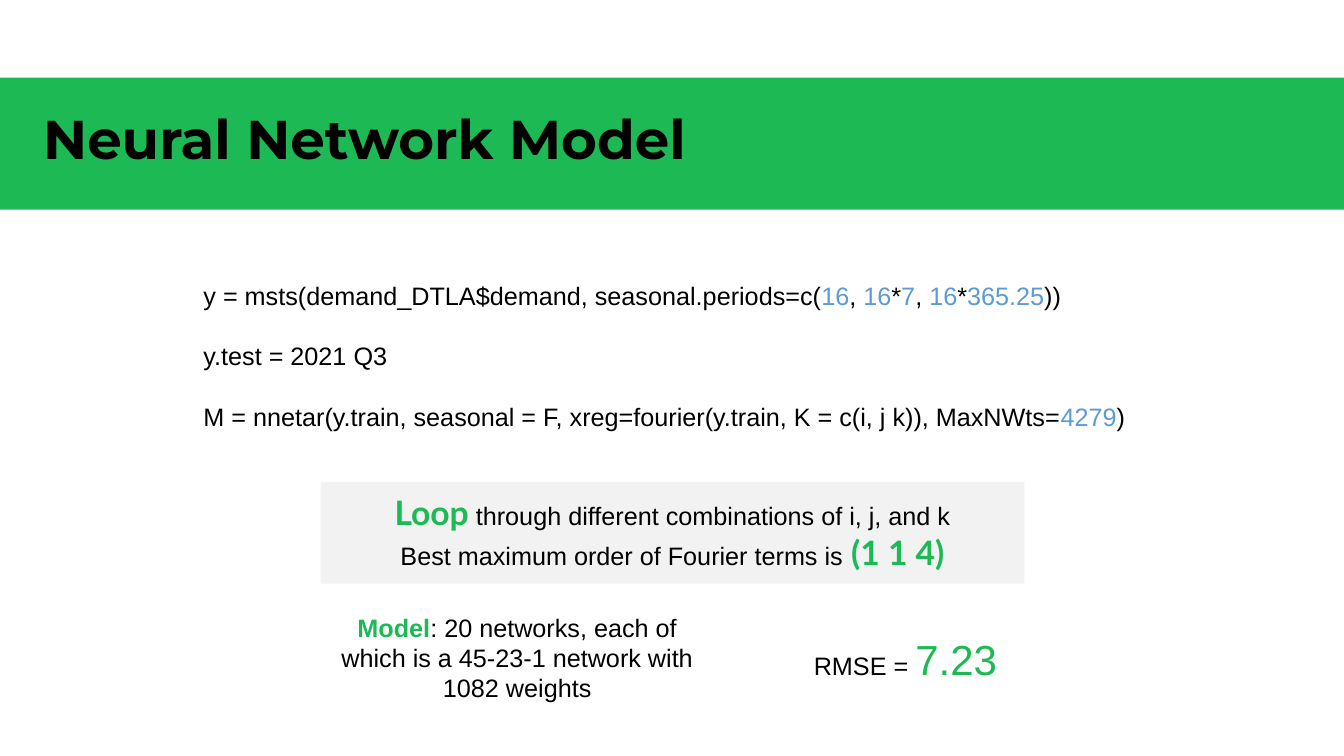
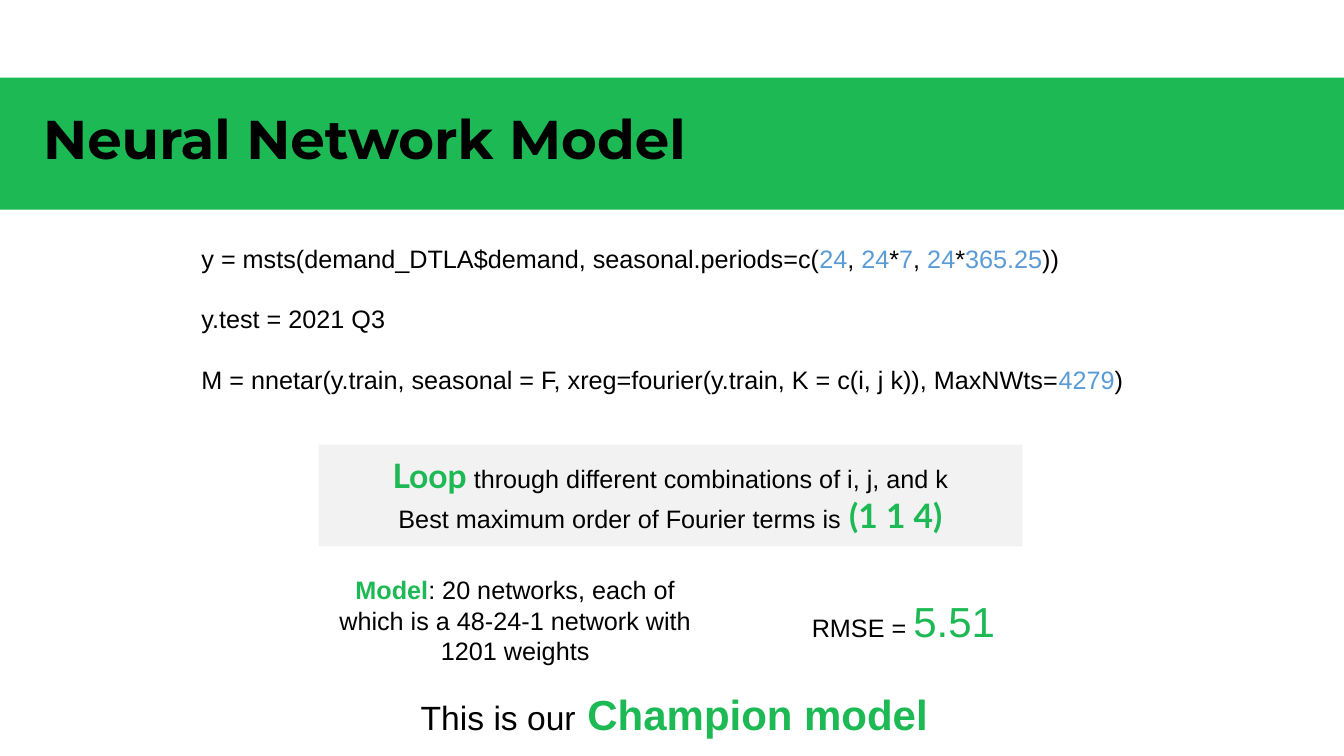
import pptx
import pptx.dml.color
import pptx.enum.shapes
import pptx.enum.text
import pptx.util
from pptx.util import Inches

COLORS = {"green": "1DB954", "blue": "5B9BD5", "black": "000000",
          "grey": "F2F2F2", "white": "FFFFFF"}
ALIGN = pptx.enum.text.PP_ALIGN
ANCHOR = pptx.enum.text.MSO_ANCHOR

prs = pptx.Presentation()
prs.slide_width, prs.slide_height = Inches(13.33), Inches(7.5)


def add_rect(s, left, top, width, height, color):
    sp = s.shapes.add_shape(pptx.enum.shapes.MSO_SHAPE.RECTANGLE,
                            Inches(left), Inches(top), Inches(width), Inches(height))
    sp.shadow.inherit = False
    sp.fill.solid()
    sp.fill.fore_color.rgb = pptx.dml.color.RGBColor.from_string(COLORS[color])
    sp.line.fill.background()
    return sp


def add_text(s, box, paragraphs, fill=None, align=ALIGN.LEFT, anchor=ANCHOR.TOP,
             inset=0.1, gap=0, spacing=None):
    """Each paragraph is a list of runs: (text, format that differs from the default)."""
    sp = add_rect(s, *box, fill) if fill else s.shapes.add_textbox(*[Inches(v) for v in box])
    tf = sp.text_frame
    tf.word_wrap = True
    tf.vertical_anchor = anchor
    tf.margin_left = tf.margin_right = Inches(0.1)
    tf.margin_top = tf.margin_bottom = Inches(inset)
    for i, runs in enumerate(paragraphs):
        p = tf.add_paragraph() if i else tf.paragraphs[0]
        p.alignment = align
        if spacing:
            p.line_spacing = spacing
        if i and gap:
            p.space_before = pptx.util.Pt(gap)
        for text, fmt in runs:
            r = p.add_run()
            r.text = text
            r.font.name = fmt.get("font", "Arial")
            r.font.size = pptx.util.Pt(fmt.get("size", 18))
            r.font.bold = fmt.get("bold", False)
            color = COLORS[fmt.get("color", "black")]
            r.font.color.rgb = pptx.dml.color.RGBColor.from_string(color)


# Run formats
PLAIN = {}
NUMBER = {"color": "blue"}
TITLE = {"font": "Montserrat", "size": 39, "bold": True}
KEY = {"font": "Lato", "size": 24, "color": "green", "bold": True}
LABEL = {"color": "green", "bold": True}
SCORE = {"size": 30, "color": "green"}
CHAMPION = {"size": 30, "color": "green", "bold": True}

# What differs between the slides; left and top place the whole content block
models = [
    {"left": 1.92, "top": 2.68, "period": "16", "network": "45-23-1",
     "weights": "1082", "rmse": "7.23", "champion": False},
    {"left": 1.9, "top": 2.31, "period": "24", "network": "48-24-1",
     "weights": "1201", "rmse": "5.51", "champion": True},
]

for m in models:
    s = prs.slides.add_slide(prs.slide_layouts[6])
    x, y, period = m["left"], m["top"], m["period"]

    # Title band and blank corner
    add_rect(s, 0, 0.77, 13.33, 1.31, "green")
    add_rect(s, 12.64, 7.04, 0.6, 0.41, "white")
    add_text(s, (0.33, 0.75, 12.9, 1.31), [[("Neural Network Model", TITLE)]],
             anchor=ANCHOR.MIDDLE, inset=0.05, spacing=0.9)

    # Model code
    add_text(s, (x, y, 11.4, 1.72), [
        [("y = msts(demand_DTLA$demand, seasonal.periods=c(", PLAIN),
         (period, NUMBER), (", ", PLAIN),
         (period, NUMBER), ("*", PLAIN), ("7", NUMBER), (", ", PLAIN),
         (period, NUMBER), ("*", PLAIN), ("365.25", NUMBER), ("))", PLAIN)],
        [("y.test = 2021 Q3", PLAIN)],
        [("M = nnetar(y.train, seasonal = F, xreg=fourier(y.train, K = c(i, j k)), MaxNWts=",
          PLAIN), ("4279", NUMBER), (")", PLAIN)],
    ], gap=21.6)

    # Search summary
    add_text(s, (x + 1.26, y + 2.1, 6.98, 1.01), [
        [("Loop", KEY), (" through different combinations of i, j, and k", PLAIN)],
        [("Best maximum order of Fourier terms is", PLAIN), (" (1 1 4)", KEY)],
    ], fill="grey", align=ALIGN.CENTER)

    # Results
    add_text(s, (x + 5.42, y + 3.5, 3.28, 0.71),
             [[("RMSE = ", PLAIN), (m["rmse"], SCORE)]], align=ALIGN.CENTER)
    add_text(s, (x + 1.36, y + 3.29, 3.7, 1.11), [
        [("Model", LABEL),
         (f": 20 networks, each of which is a {m['network']} network with "
          f"{m['weights']} weights", PLAIN)],
    ], fill="white", align=ALIGN.CENTER)

    # Verdict
    if m["champion"]:
        add_text(s, (2.16, 6.73, 9.06, 0.71),
                 [[("This is our", {"size": 24}), (" Champion model", CHAMPION)]],
                 align=ALIGN.CENTER)

prs.save("out.pptx")
